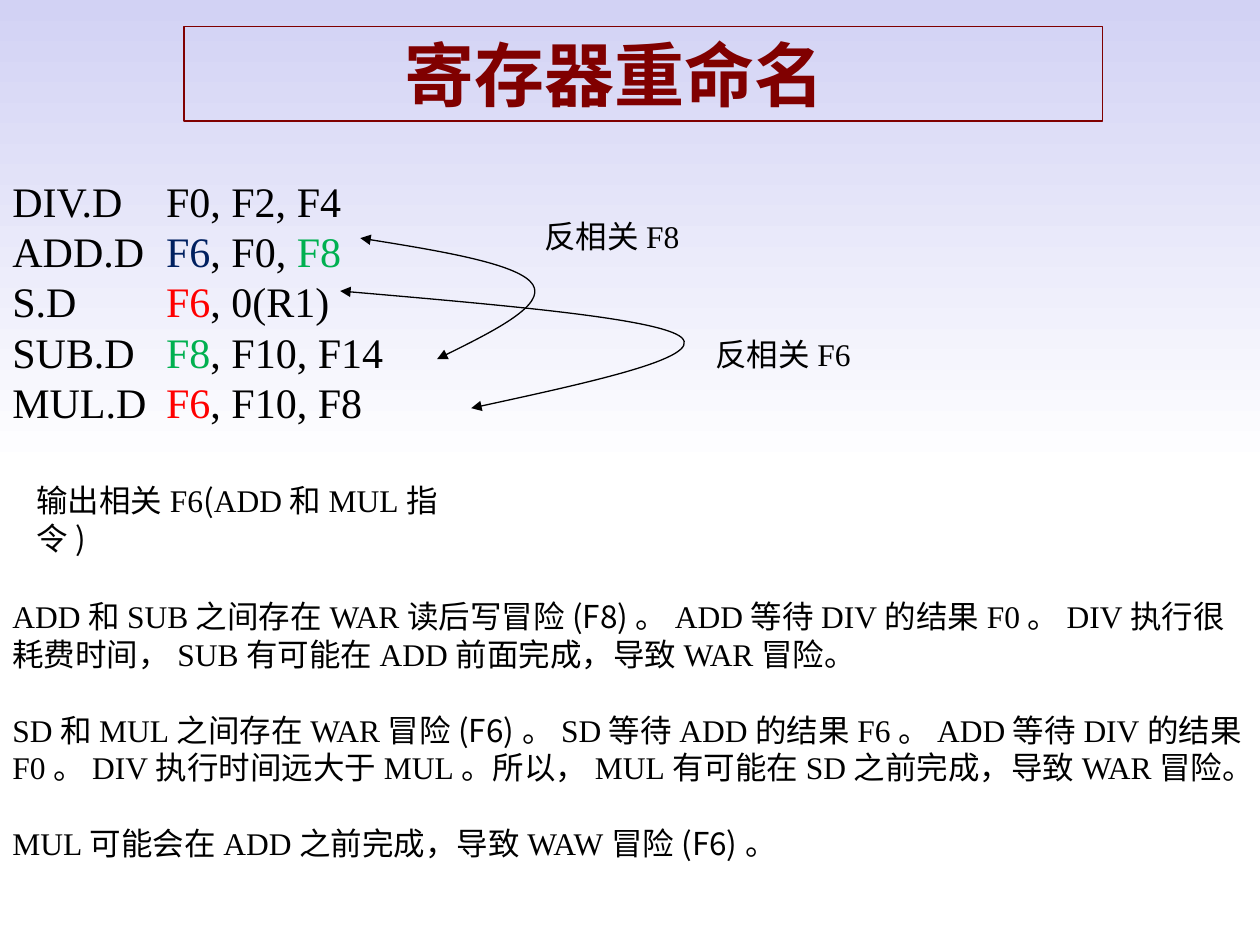
"""Build the register renaming slide."""
import copy
from dataclasses import dataclass
from typing import Optional

import pptx
import pptx.dml.color
import pptx.enum.shapes
import pptx.enum.text
import pptx.oxml.ns
import pptx.util
from lxml import etree

Inches = pptx.util.Inches
Pt = pptx.util.Pt
RGBColor = pptx.dml.color.RGBColor
qn = pptx.oxml.ns.qn

BLACK = RGBColor(0x00, 0x00, 0x00)
WHITE = RGBColor(0xFF, 0xFF, 0xFF)
LAVENDER = RGBColor(0xD2, 0xD2, 0xF4)
MAROON = RGBColor(0x80, 0x00, 0x00)
NAVY = RGBColor(0x00, 0x20, 0x60)
GREEN = RGBColor(0x00, 0xB0, 0x50)
RED = RGBColor(0xFF, 0x00, 0x00)
SERIF = "Times New Roman"
SANS = "Noto Sans CJK SC"


@dataclass
class Span:
    text: str
    color: Optional[RGBColor] = None
    font: Optional[str] = None


@dataclass
class TextBox:
    left: float
    top: float
    width: float
    height: float
    paragraphs: list[list[Span]]
    size: float = 18
    gap: float = 0
    tab: float = 0


@dataclass
class Curve:
    points: list[tuple[float, float]]


def sans(text: str) -> Span:
    return Span(text, font=SANS)


def instruction(opcode: str, first: str, color: RGBColor, rest: str,
                last: str = "") -> list[Span]:
    return [Span(opcode + "\t"), Span(first, color), Span(rest), Span(last, GREEN)]


CODE = TextBox(0, 1.34, 10, 2.42, [
    instruction("DIV.D", "F0", BLACK, ", F2, F4"),
    instruction("ADD.D", "F6", NAVY, ", F0, ", "F8"),
    instruction("S.D", "F6", RED, ", 0(R1)"),
    instruction("SUB.D", "F8", GREEN, ", F10, F14"),
    instruction("MUL.D", "F6", RED, ", F10, F8"),
], size=24, tab=1.22)

CURVES = [
    Curve([(2.86, 1.89), (3.49, 1.99), (4.13, 2.1), (4.23, 2.26),
           (4.33, 2.42), (3.9, 2.64), (3.47, 2.85)]),
    Curve([(2.7, 2.31), (3.97, 2.42), (5.24, 2.53), (5.41, 2.68),
           (5.58, 2.84), (4.66, 3.04), (3.74, 3.24)]),
]

NOTES = [
    TextBox(4.22, 1.67, 1.79, 0.4, [[Span("反相关F8")]]),
    TextBox(5.58, 2.61, 1.34, 0.4, [[Span("反相关F6")]]),
    TextBox(0.19, 3.77, 3.45, 0.4, [
        [Span("输出相关F6"), sans("("), Span("ADD"), sans("和"), Span("MUL"), sans("指令)")],
    ]),
    TextBox(0, 4.69, 10, 2.52, [
        [Span("ADD和SUB之间存在WAR读后写冒险"), sans("(F8)"),
         Span("。ADD等待DIV的结果F0。DIV执行很耗费时间，SUB有可能在ADD前面完成，导致WAR冒险。")],
        [Span("SD和MUL之间存在WAR冒险"), sans("(F6)。"), Span("SD"), sans("等待"),
         Span("ADD"), sans("的结果"), Span("F6。ADD"), sans("等待"), Span("DIV"),
         sans("的结果"),
         Span("F0。DIV执行时间远大于MUL。所以，MUL有可能在SD之前完成，导致WAR冒险。")],
        [Span("MUL可能会在ADD之前完成，导致WAW冒险"), sans("(F6)。")],
    ], gap=21.6),
]


def style_paragraph(p, name: str, size: float, color: RGBColor) -> None:
    p.font.name = name
    p.font.size = Pt(size)
    p.font.color.rgb = color
    latin = p._p.pPr.find(qn("a:defRPr")).find(qn("a:latin"))
    ea = etree.Element(qn("a:ea"), typeface=SANS)
    latin.addnext(ea)


def set_background(s) -> None:
    fill = s.background.fill
    fill.gradient()
    fill.gradient_angle = 270
    for stop, position, color in zip(fill.gradient_stops, (0, 0.5), (LAVENDER, WHITE)):
        stop.position = position
        stop.color.rgb = color
    stops = s.element.find(".//" + qn("a:gsLst"))
    end = copy.deepcopy(stops[-1])
    end.set("pos", "100000")
    stops.append(end)


def add_title(s) -> None:
    sp = s.shapes.add_shape(pptx.enum.shapes.MSO_SHAPE.RECTANGLE,
                            Inches(1.46), Inches(0.21), Inches(7.29), Inches(0.75))
    sp.shadow.inherit = False
    sp.fill.background()
    sp.line.color.rgb = MAROON
    sp.line.width = Pt(0.75)
    tf = sp.text_frame
    tf.margin_left = Inches(1.75)
    tf.vertical_anchor = pptx.enum.text.MSO_ANCHOR.MIDDLE
    p = tf.paragraphs[0]
    p.text = "寄存器重命名"
    p.alignment = pptx.enum.text.PP_ALIGN.JUSTIFY
    style_paragraph(p, "Arial", 40, MAROON)
    p.font.bold = True


def add_text(s, box: TextBox) -> None:
    sp = s.shapes.add_textbox(Inches(box.left), Inches(box.top),
                              Inches(box.width), Inches(box.height))
    tf = sp.text_frame
    tf.word_wrap = True
    for i, spans in enumerate(box.paragraphs):
        p = tf.add_paragraph() if i else tf.paragraphs[0]
        if i and box.gap:
            p.space_before = Pt(box.gap)
        if box.tab:
            tabs = etree.SubElement(p._p.get_or_add_pPr(), qn("a:tabLst"))
            etree.SubElement(tabs, qn("a:tab"), pos=str(Inches(box.tab)), algn="l")
        style_paragraph(p, SERIF, box.size, BLACK)
        for span in filter(lambda item: item.text, spans):
            r = p.add_run()
            r.text = span.text
            if span.color is not None:
                r.font.color.rgb = span.color
            if span.font:
                r.font.name = span.font


def add_curve(s, curve: Curve) -> None:
    points = [(Inches(x), Inches(y)) for x, y in curve.points]
    builder = s.shapes.build_freeform(*points[0])
    builder.add_line_segments(points[1:], close=False)
    sp = builder.convert_to_shape()
    sp.shadow.inherit = False
    sp.fill.background()
    sp.line.color.rgb = BLACK
    sp.line.width = Pt(0.75)
    outline = sp.element.find(".//" + qn("a:path"))
    segments = outline.findall(qn("a:lnTo"))
    for start in range(0, len(segments), 3):
        bezier = etree.SubElement(outline, qn("a:cubicBezTo"))
        for segment in segments[start:start + 3]:
            bezier.append(segment[0])
            outline.remove(segment)
    ln = sp.line._get_or_add_ln()
    for end in ("a:headEnd", "a:tailEnd"):
        etree.SubElement(ln, qn(end), type="triangle")


def main() -> None:
    prs = pptx.Presentation()
    prs.slide_width = Inches(10)
    prs.slide_height = Inches(7.5)
    s = prs.slides.add_slide(prs.slide_layouts[6])
    set_background(s)
    add_title(s)
    add_text(s, CODE)
    for curve in CURVES:
        add_curve(s, curve)
    for note in NOTES:
        add_text(s, note)
    prs.save("out.pptx")


if __name__ == "__main__":
    main()
